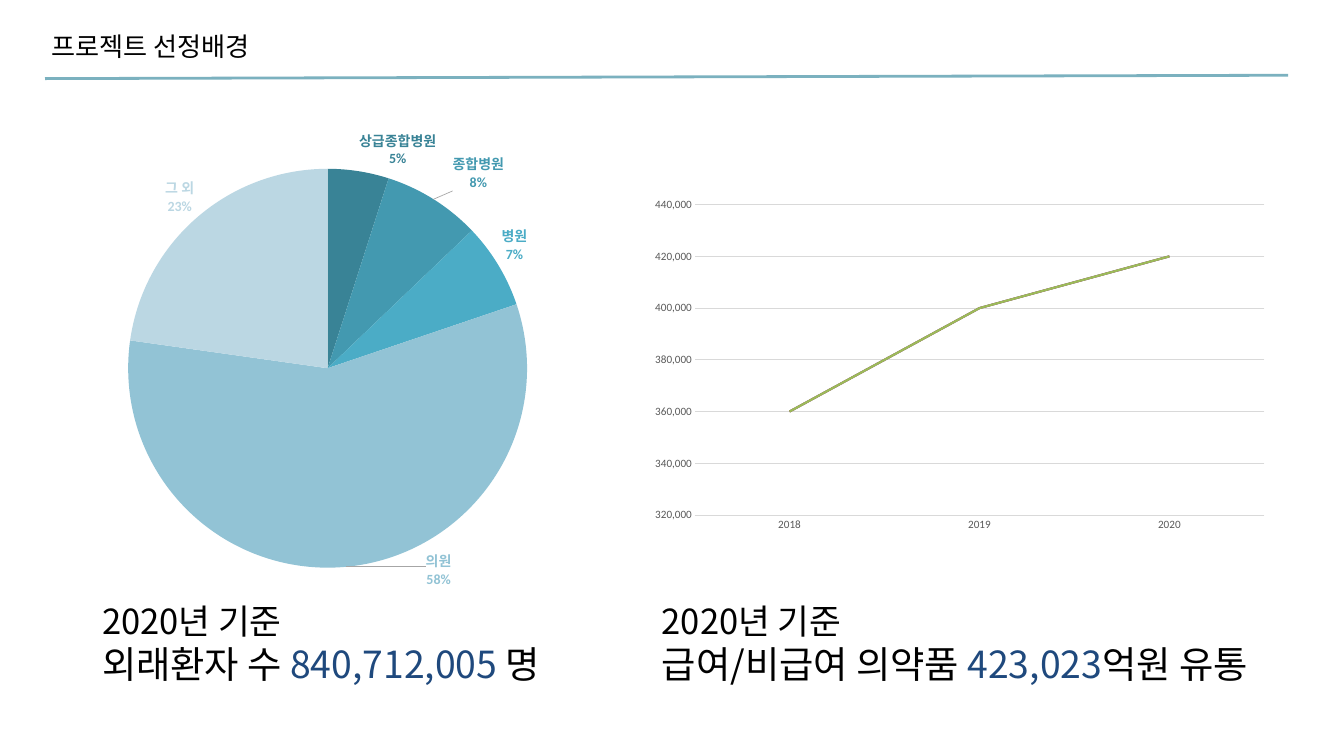
"""Build a slide on the project background: a pie, a trend line and two captions."""
from typing import NamedTuple, Optional

from lxml import etree
from pptx import Presentation, util as u
from pptx.chart.data import CategoryChartData
from pptx.dml.color import RGBColor
from pptx.enum import chart as ch, shapes
from pptx.oxml.ns import qn

WIDE, HIGH = 20, 11.25
FACE, PLAIN = "Noto Sans CJK KR", "Calibri"
HUES = {
    "ink": "000000", "navy": "1F497D", "rule": "31859C",
    "grid": "D9D9D9", "axis": "595959", "lead": "A6A6A6",
    "blue": "4F81BD", "red": "C0504D", "green": "9BBB59",
    "top": "398396", "general": "4399B0", "ward": "4BACC6",
    "clinic": "92C3D5", "rest": "BBD7E3",
}


class Box(NamedTuple):
    left: float
    top: float
    width: float
    height: float


class Run(NamedTuple):
    words: str
    size: float
    hue: str = "ink"


class Slice(NamedTuple):
    name: str
    share: int
    hue: str
    shift: Optional[tuple] = None


class Note(NamedTuple):
    box: Box
    lines: list


SLICES = [
    Slice("상급종합병원", 5, "top"),
    Slice("종합병원", 8, "general", (0.03, -0.01)),
    Slice("병원", 7, "ward"),
    Slice("의원", 58, "clinic", (0.14, -0.04)),
    Slice("그 외", 23, "rest"),
]
YEARS = {"2018": 360000, "2019": 400000, "2020": 420000}
YEAR = [Run("2020년 기준", 37)]
NOTES = [
    Note(Box(0.67, 0.4, 7.91, 0.57), [[Run("프로젝트 선정배경", 28)]]),
    Note(Box(1.42, 8.88, 7.55, 2.07), [YEAR, [
        Run("외래환자 수 ", 40), Run("840,712,005 ", 40, "navy"), Run("명", 40)]]),
    Note(Box(9.75, 8.88, 9.83, 1.4), [YEAR, [
        Run("급여/비급여 의약품 ", 40), Run("423,023", 40, "navy"),
        Run("억원 유통", 40)]]),
]


def tint(name: str) -> RGBColor:
    return RGBColor.from_string(HUES[name])


def place(box: Box) -> list:
    return [u.Inches(n) for n in box]


def layout(**vals) -> etree._Element:
    node = etree.Element(qn("c:layout"))
    hand = etree.SubElement(node, qn("c:manualLayout"))
    for tag, val in vals.items():
        etree.SubElement(hand, qn(f"c:{tag}")).set("val", str(val))
    return node


def write(slide, note: Note) -> None:
    frame = slide.shapes.add_textbox(*place(note.box)).text_frame
    frame.word_wrap = True
    for i, line in enumerate(note.lines):
        para = frame.add_paragraph() if i else frame.paragraphs[0]
        for part in line:
            run = para.add_run()
            run.text = part.words
            run.font.size = u.Pt(part.size)
            run.font.color.rgb = tint(part.hue)
            run.font.name = FACE
            props = run.font._element
            props.set("kern", "0")
            etree.SubElement(props, qn("a:ea")).set("typeface", FACE)


def plot(slide, kind, box: Box, cats, rows: list, size: float, area: Box):
    data = CategoryChartData()
    data.categories = cats
    for i, vals in enumerate(rows, 1):
        data.add_series(f"Series {i}", vals)
    chart = slide.shapes.add_chart(kind, *place(box), data).chart
    chart.has_title = chart.has_legend = False
    chart.font.name, chart.font.size = PLAIN, u.Pt(size)
    chart.font.color.rgb = tint("ink")
    root = chart._chartSpace.find(f".//{qn('c:plotArea')}")
    for old in root.findall(qn("c:layout")):
        root.remove(old)
    root.insert(0, layout(layoutTarget="inner", xMode="edge", yMode="edge",
                          x=area.left, y=area.top, w=area.width, h=area.height))
    return chart


def split(node) -> None:
    mark = etree.Element(qn("c:separator"))
    mark.text = "\n"
    node.find(qn("c:showBubbleSize")).addnext(mark)


def lead(tags) -> None:
    show = tags.find(qn("c:showLeaderLines"))
    if show is None:
        show = etree.SubElement(tags, qn("c:showLeaderLines"))
    show.set("val", "1")
    node = etree.Element(qn("c:leaderLines"))
    show.addnext(node)
    props = etree.SubElement(node, qn("c:spPr"))
    line = etree.SubElement(props, qn("a:ln"), w=str(u.Pt(0.75)))
    fill = etree.SubElement(line, qn("a:solidFill"))
    etree.SubElement(fill, qn("a:srgbClr"), val=HUES["lead"])


def pie(slide) -> None:
    chart = plot(slide, ch.XL_CHART_TYPE.PIE, Box(0.75, 1.77, 8.42, 7.42),
                 [s.name for s in SLICES], [[s.share for s in SLICES]], 15,
                 Box(0.13, 0.1, 0.72, 0.8))
    chart.plots[0].vary_by_categories = True
    row = chart.plots[0].series[0]
    tags = row.data_labels
    tags.show_value = tags.show_category_name = True
    tags.number_format, tags.number_format_is_linked = '0"%"', False
    tags.position = ch.XL_LABEL_POSITION.OUTSIDE_END
    for i, part in enumerate(SLICES):
        point = row.points[i]
        point.format.fill.solid()
        point.format.fill.fore_color.rgb = tint(part.hue)
        tag = point.data_label
        tag.font.bold, tag.font.size = True, u.Pt(15)
        tag.font.name = PLAIN
        tag.font.color.rgb = tint(part.hue)
        tag.position = ch.XL_LABEL_POSITION.OUTSIDE_END
    form = tags._element.find(qn("c:numFmt"))
    for part, node in zip(SLICES, tags._element.findall(qn("c:dLbl"))):
        node.find(qn("c:showCatName")).set("val", "1")
        split(node)
        copy = etree.Element(qn("c:numFmt"), **dict(form.attrib))
        node.find(qn("c:idx")).addnext(copy)
        if part.shift:
            x, y = part.shift
            node.find(qn("c:idx")).addnext(layout(x=x, y=y))
    split(tags._element)
    lead(tags._element)


def trend(slide) -> None:
    void = [None] * len(YEARS)
    chart = plot(slide, ch.XL_CHART_TYPE.LINE_STACKED, Box(9.75, 2.44, 9.25, 5.5),
                 list(YEARS), [list(YEARS.values()), void, void], 10,
                 Box(0.06, 0.11, 0.92, 0.84))
    chart._chartSpace.find(f".//{qn('c:dispBlanksAs')}").set("val", "zero")
    for row, hue in zip(chart.plots[0].series, ("blue", "red", "green")):
        row.smooth = False
        row.marker.style = ch.XL_MARKER_STYLE.NONE
        row.format.line.width = u.Pt(2.25)
        row.format.line.color.rgb = tint(hue)
    cat, val = chart.category_axis, chart.value_axis
    for axis in (cat, val):
        axis.major_tick_mark = axis.minor_tick_mark = ch.XL_TICK_MARK.NONE
        font = axis.tick_labels.font
        font.size, font.name = u.Pt(12), PLAIN
        font.color.rgb = tint("axis")
    val.minimum_scale, val.maximum_scale, val.major_unit = 320000, 440000, 20000
    val.tick_labels.number_format = "#,##0"
    val.tick_labels.number_format_is_linked = False
    val.format.line.fill.background()
    val.has_major_gridlines = True
    for line in (cat.format.line, val.major_gridlines.format.line):
        line.width = u.Pt(0.75)
        line.color.rgb = tint("grid")


def rule(slide) -> None:
    ends = [u.Inches(n) for n in (0.67, 1.17, 19.17, 1.12)]
    bar = slide.shapes.add_connector(shapes.MSO_CONNECTOR.STRAIGHT, *ends)
    bar.line.width = u.Pt(3)
    bar.line.color.rgb = tint("rule")
    props = bar._element.spPr
    shade = props.find(f".//{qn('a:srgbClr')}")
    etree.SubElement(shade, qn("a:alpha")).set("val", "64000")
    etree.SubElement(props, qn("a:effectLst"))


deck = Presentation()
deck.slide_width, deck.slide_height = u.Inches(WIDE), u.Inches(HIGH)
page = deck.slides.add_slide(deck.slide_layouts[6])
pie(page)
trend(page)
rule(page)
for item in NOTES:
    write(page, item)
deck.save("out.pptx")
